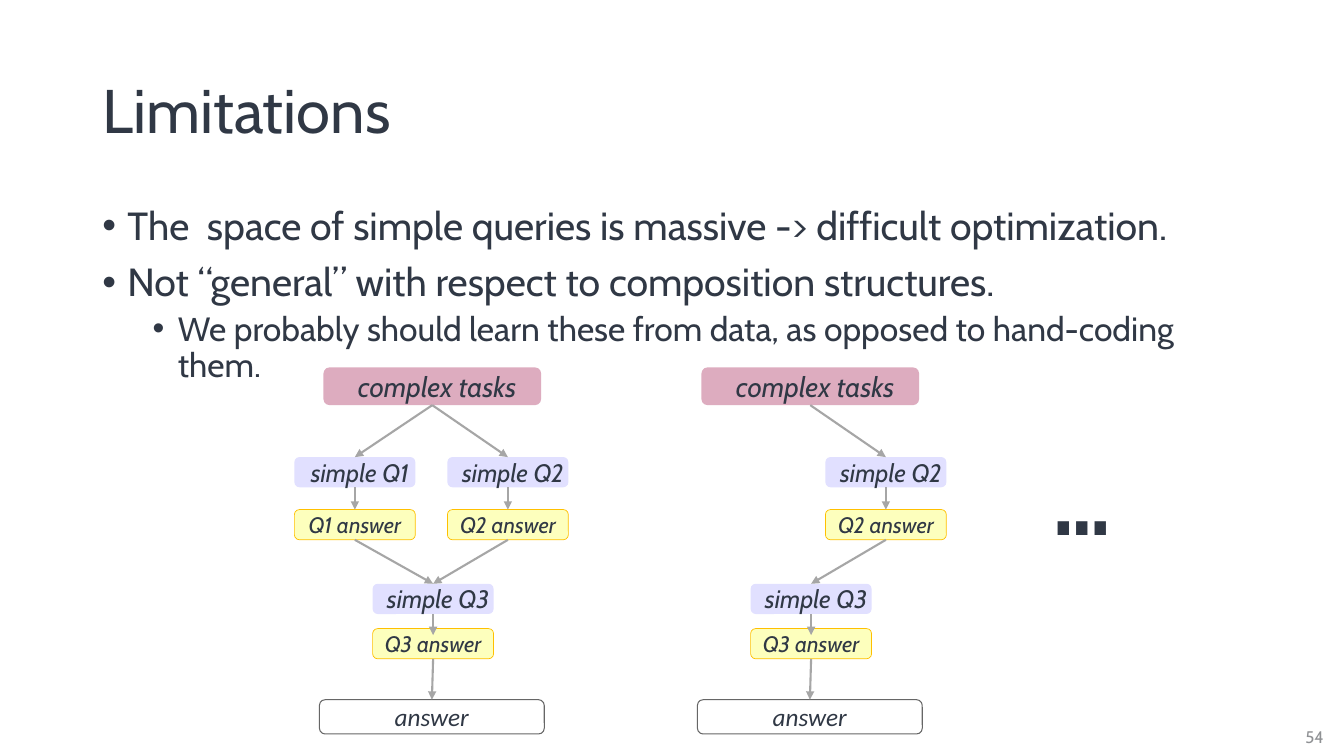
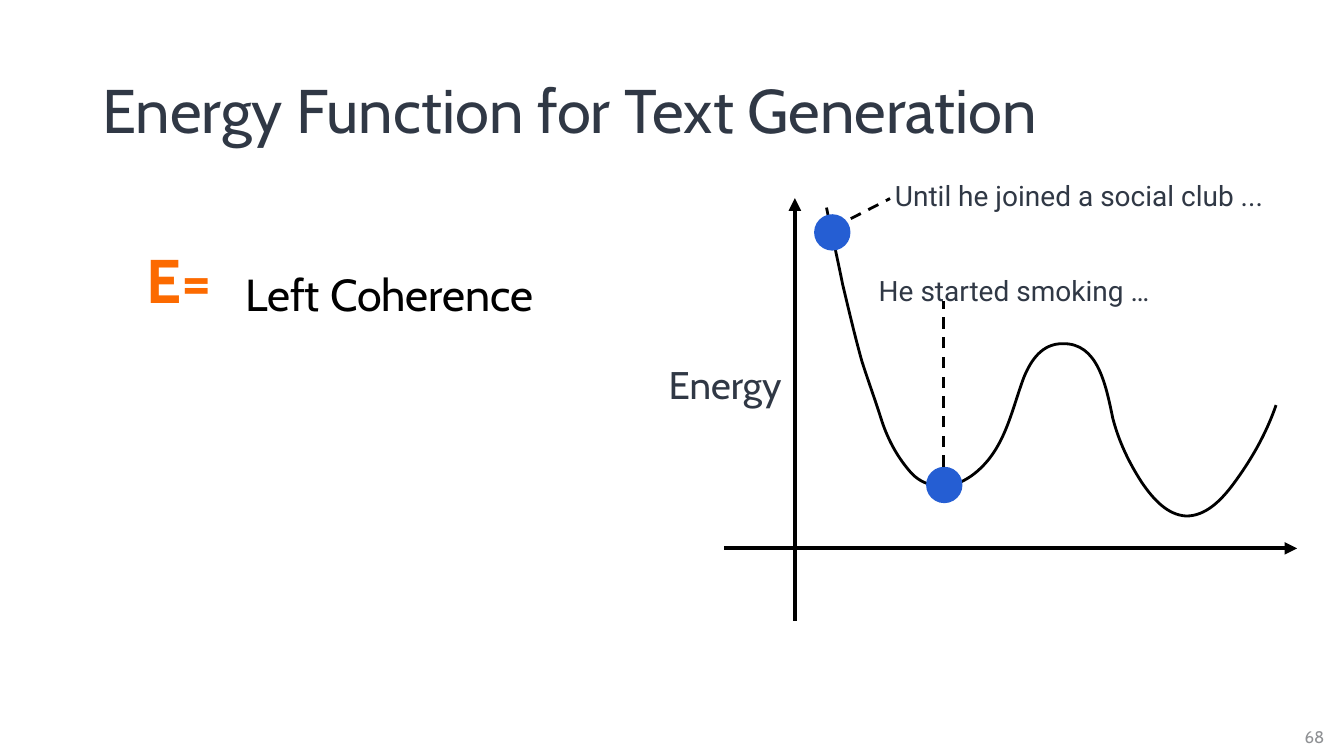
"""Build two slides: limitations of query composition, and an energy function."""
from pptx import Presentation
from pptx.dml.color import RGBColor
from pptx.enum.dml import MSO_LINE
from pptx.enum.shapes import MSO_CONNECTOR, MSO_SHAPE
from pptx.enum.text import MSO_ANCHOR, PP_ALIGN
from pptx.oxml.ns import qn
from pptx.util import Pt
from lxml.etree import SubElement

COLOURS = {
    "ink": "303845", "black": "000000", "number": "8F9194", "accent": "FC6A00",
    "task": "A62657", "query": "E1E0FF", "reply": "FDFFBD", "reply_edge": "FFC000",
    "answer_edge": "666666", "arrow": "A6A6A6", "dot": "255ED3",
}
FONT = "Cabin"
NODES = {
    "task": dict(size=(155.5, 27), text_size=20, fill="task", alpha=38, anchor=MSO_ANCHOR.TOP),
    "query": dict(size=(86.4, 21.6), text_size=18, fill="query"),
    "reply": dict(size=(86.4, 21.6), text_size=16, fill="reply", edge="reply_edge",
                  edge_width=0.5, inset=0),
    "answer": dict(size=(160.6, 24.5), text_size=18, edge="answer_edge", inset=0, font="Calibri"),
}
CURVE_START = (590.4, 148.3)
CURVE = [
    ((594, 166.3), (598.3, 185), (601.9, 203)),
    ((606.2, 221), (610.6, 239.8), (615.6, 257.8)),
    ((619.9, 271.4), (625, 285.1), (629.3, 298.8)),
    ((633.6, 312.5), (640.1, 325.4), (650.2, 337)),
    ((654.5, 342), (660.2, 345.6), (668.2, 347)),
    ((678.2, 348.5), (686.9, 344.9), (694.1, 339.8)),
    ((717.8, 322.6), (722.2, 293.8), (731.5, 269.3)),
    ((736.6, 257), (744.5, 245.5), (758.9, 245.5)),
    ((784.1, 244.8), (789.8, 274.3), (794.9, 298.8)),
    ((799.2, 315.4), (806.4, 330.5), (815.8, 344.9)),
    ((823.7, 356.4), (833.8, 367.9), (847.4, 368.6)),
    ((861.1, 368.6), (871.9, 357.8), (880.6, 346.3)),
    ((893.5, 329), (904.3, 310.3), (911.5, 289.4)),
]


def colour(name):
    return RGBColor.from_string(COLOURS[name])


def style(paragraph, size, ink="ink", font=FONT, bold=False, italic=False):
    paragraph.font.size = Pt(size)
    paragraph.font.name = font
    paragraph.font.bold = bold
    paragraph.font.italic = italic
    paragraph.font.color.rgb = colour(ink)


def add_text(page, frame, text, size, anchor=MSO_ANCHOR.TOP, align=PP_ALIGN.LEFT,
             spacing=1, inset=None, **look):
    box = page.shapes.add_textbox(*map(Pt, frame)).text_frame
    box.word_wrap = True
    box.vertical_anchor = anchor
    if inset is not None:
        box.margin_left = box.margin_right = box.margin_top = box.margin_bottom = Pt(inset)
    paragraph = box.paragraphs[0]
    paragraph.text = text
    paragraph.alignment = align
    paragraph.line_spacing = spacing
    style(paragraph, size, **look)


def add_bullets(page, frame, items):
    box = page.shapes.add_textbox(*map(Pt, frame)).text_frame
    box.word_wrap = True
    for index, (level, text) in enumerate(items):
        paragraph = box.add_paragraph() if index else box.paragraphs[0]
        paragraph.text = text
        paragraph.level = level
        properties = paragraph._p.get_or_add_pPr()
        properties.set("marL", str(Pt(18 + 36 * level)))
        properties.set("indent", str(Pt(-18)))
        SubElement(properties, qn("a:buFont")).set("typeface", "Arial")
        SubElement(properties, qn("a:buChar")).set("char", "•")
        paragraph.line_spacing = 0.9
        if index:
            paragraph.space_before = Pt(5 if level else 10)
        style(paragraph, 24 if level else 28)


def add_page(deck, title, number):
    page = deck.slides.add_slide(deck.slide_layouts[6])
    add_text(page, (66, 29, 828, 104), title, 44, MSO_ANCHOR.MIDDLE, spacing=0.9)
    add_text(page, (918, 512, 42, 29), str(number), 12, MSO_ANCHOR.MIDDLE,
             PP_ALIGN.CENTER, ink="number")
    return page


def add_node(page, kind, centre, top, text):
    return draw_node(page, centre, top, text, **NODES[kind])


def draw_node(page, centre, top, text, size, text_size, fill=None, alpha=None, edge=None,
              edge_width=0.75, inset=7.2, anchor=MSO_ANCHOR.MIDDLE, font=FONT):
    width, height = size
    node = page.shapes.add_shape(MSO_SHAPE.ROUNDED_RECTANGLE, Pt(centre - width / 2), Pt(top),
                                 Pt(width), Pt(height))
    node.shadow.inherit = False
    if fill:
        node.fill.solid()
        node.fill.fore_color.rgb = colour(fill)
    else:
        node.fill.background()
    if alpha:
        tint = node._element.spPr.find(qn("a:solidFill")).find(qn("a:srgbClr"))
        SubElement(tint, qn("a:alpha")).set("val", str(alpha * 1000))
    if edge:
        node.line.color.rgb = colour(edge)
        node.line.width = Pt(edge_width)
    else:
        node.line.fill.background()
    box = node.text_frame
    box.margin_left = Pt(inset)
    box.margin_right = box.margin_top = box.margin_bottom = 0
    box.vertical_anchor = anchor
    paragraph = box.paragraphs[0]
    paragraph.text = text
    paragraph.alignment = PP_ALIGN.CENTER
    style(paragraph, text_size, font=font, italic=True)
    return node


def add_line(page, start, end, ink="black", width=2, arrow=False, dashed=False):
    line = page.shapes.add_connector(MSO_CONNECTOR.STRAIGHT, *map(Pt, start + end))
    line.line.color.rgb = colour(ink)
    line.line.width = Pt(width)
    if dashed:
        line.line.dash_style = MSO_LINE.DASH
    if arrow:
        SubElement(line.line._get_or_add_ln(), qn("a:tailEnd")).set("type", "triangle")
    SubElement(line._element.spPr, qn("a:effectLst"))
    return line


def link(page, upper, lower=None, end=(0, 0)):
    arrow = add_line(page, (0, 0), end, "arrow", 1.5, arrow=True)
    arrow.begin_connect(upper, 2)
    if lower is not None:
        arrow.end_connect(lower, 0)


def add_flow(page, middle, branches):
    task = add_node(page, "task", middle, 262.4, "complex tasks")
    last_query = add_node(page, "query", middle + 0.6, 417, "simple Q3")
    last_reply = add_node(page, "reply", middle + 0.6, 449, "Q3 answer")
    answer = add_node(page, "answer", middle - 0.3, 499.8, "answer")
    for name, offset in branches:
        query = add_node(page, "query", middle + offset, 326.5, f"simple {name}")
        reply = add_node(page, "reply", middle + offset, 364, f"{name} answer")
        for upper, lower in ((task, query), (query, reply), (reply, last_query)):
            link(page, upper, lower)
    link(page, last_query, end=(middle + 0.6, 453.6))
    link(page, last_reply, answer)


def add_curve(page, start, segments):
    builder = page.shapes.build_freeform(*map(Pt, start))
    builder.add_line_segments([tuple(map(Pt, segment[-1])) for segment in segments], close=False)
    curve = builder.convert_to_shape()
    outline = curve._element.spPr.find(".//" + qn("a:path"))
    for straight in outline.findall(qn("a:lnTo")):
        outline.remove(straight)
    for segment in segments:
        bend = SubElement(outline, qn("a:cubicBezTo"))
        for x, y in segment:
            point = SubElement(bend, qn("a:pt"))
            point.set("x", str(Pt(x) - curve.left))
            point.set("y", str(Pt(y) - curve.top))
    curve.shadow.inherit = False
    curve.fill.background()
    curve.line.color.rgb = colour("black")
    curve.line.width = Pt(2)


def add_dot(page, left, top):
    dot = page.shapes.add_shape(MSO_SHAPE.OVAL, Pt(left), Pt(top), Pt(26), Pt(26))
    dot.shadow.inherit = False
    dot.fill.solid()
    dot.fill.fore_color.rgb = colour("dot")
    dot.line.fill.background()


def add_limitations(deck):
    page = add_page(deck, "Limitations", 54)
    add_bullets(page, (66, 144, 828, 343), [
        (0, "The  space of simple queries is massive -> difficult optimization."),
        (0, "Not “general” with respect to composition structures."),
        (1, "We probably should learn these from data, as opposed to hand-coding them."),
    ])
    add_flow(page, 308.8, [("Q1", -55.3), ("Q2", 54)])
    add_flow(page, 578.8, [("Q2", 54)])
    add_text(page, (745.5, 312.5, 55, 87), "…", 66, MSO_ANCHOR.MIDDLE, PP_ALIGN.CENTER,
             inset=0, font="DejaVu Sans Mono")


def add_energy(deck):
    page = add_page(deck, "Energy Function for Text Generation", 68)
    add_line(page, (567.8, 443.5), (567.8, 141.6), width=3, arrow=True)
    add_line(page, (517.4, 391.7), (926.6, 391.7), width=3, arrow=True)
    add_text(page, (475.6, 255.5, 90, 37.5), "Energy", 27.5, MSO_ANCHOR.MIDDLE, inset=2)
    add_line(page, (607.7, 156.2), (635.8, 141.8), dashed=True)
    for frame, text in (((625.7, 189.4, 211, 31.7), "He started smoking …"),
                        ((637.2, 121.2, 276, 31.7), "Until he joined a social club ...")):
        add_text(page, frame, text, 20, MSO_ANCHOR.MIDDLE, spacing=1.2, inset=2, font="Roboto")
    add_curve(page, CURVE_START, CURVE)
    add_dot(page, 661.5, 333.4)
    add_dot(page, 581.5, 153)
    add_line(page, (674.2, 333.4), (674.2, 215.3), dashed=True)
    add_text(page, (86.8, 169, 83, 60.5), "E=", 44, align=PP_ALIGN.CENTER, ink="accent", bold=True)
    add_text(page, (168, 168, 370, 60), "Left Coherence", 32, spacing=1.5, ink="black")


def main():
    deck = Presentation()
    deck.slide_width, deck.slide_height = Pt(960), Pt(540)
    add_limitations(deck)
    add_energy(deck)
    deck.save("out.pptx")


if __name__ == "__main__":
    main()
